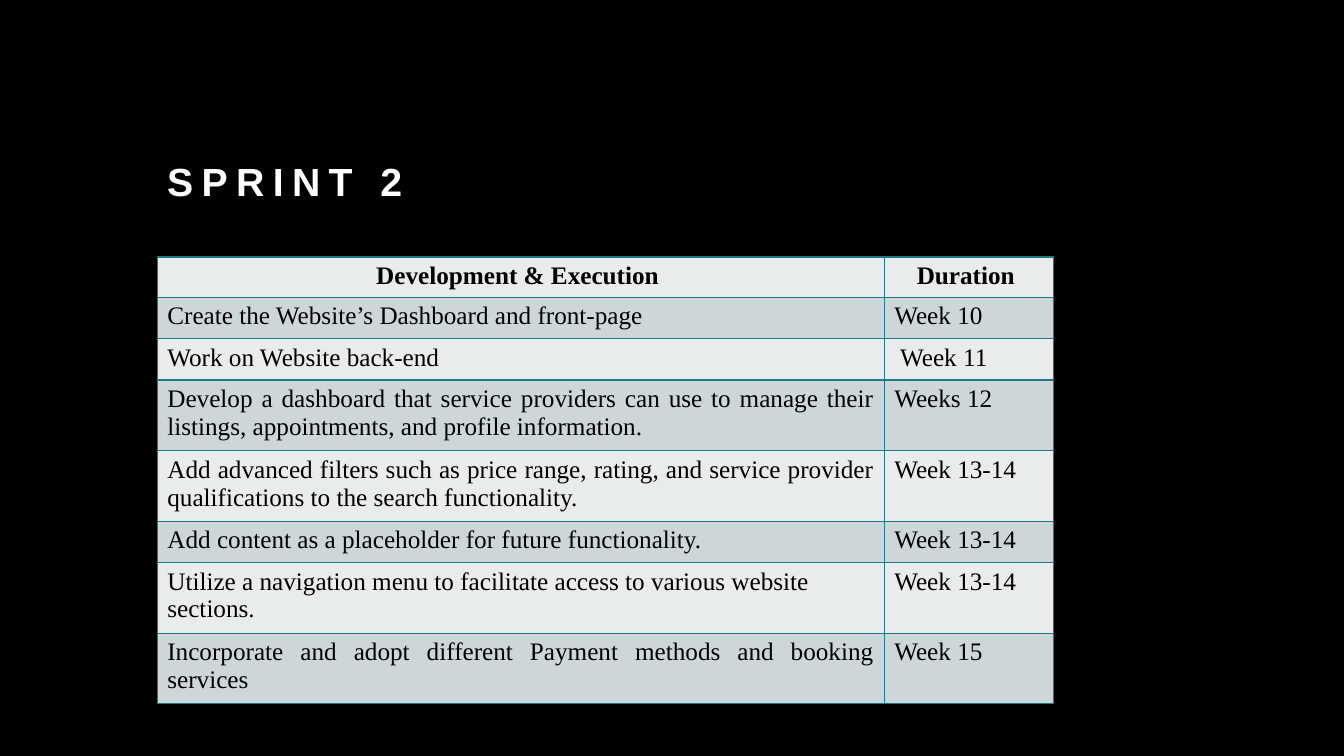
import pptx
import pptx.dml.color
import pptx.enum.text
import pptx.util
from lxml import etree
from pptx.oxml.ns import qn

ALIGN = pptx.enum.text.PP_ALIGN
WIDTH, HEIGHT = 13.33, 7.5
LEFT = 1.56
COLUMN_WIDTHS = (7.21, 1.68)
HEADER_HEIGHT, SINGLE_HEIGHT, DOUBLE_HEIGHT = 0.37, 0.41, 0.66
LIGHT, DARK, BORDER = "E8ECED", "CDD7D9", "1F7985"
HEADINGS = ("Development & Execution ", "Duration ")
TASKS = [
    ("Create the Website’s Dashboard and front-page", "Week 10", SINGLE_HEIGHT),
    ("Work on Website back-end ", " Week 11", SINGLE_HEIGHT),
    ("Develop a dashboard that service providers can use to manage their listings, "
     "appointments, and profile information.", "Weeks 12", DOUBLE_HEIGHT),
    ("Add advanced filters such as price range, rating, and service provider "
     "qualifications to the search functionality.", "Week 13-14", DOUBLE_HEIGHT),
    ("Add content as a placeholder for future functionality.", "Week 13-14", SINGLE_HEIGHT),
    ("Utilize a navigation menu to facilitate access to various website sections.",
     "Week 13-14", DOUBLE_HEIGHT),
    ("Incorporate and adopt different Payment methods and booking services",
     "Week 15", DOUBLE_HEIGHT),
]
LEFT_ALIGNED_TASK = 6


def color(value):
    """Turn a hex string into a colour."""
    return pptx.dml.color.RGBColor.from_string(value)


def inches(*values):
    """Convert several lengths from inches."""
    return [pptx.util.Inches(value) for value in values]


def add_run(paragraph, text, font_name, size, fill, bold):
    """Add one formatted run and return it."""
    run = paragraph.add_run()
    run.text = text
    run.font.name = font_name
    run.font.size = pptx.util.Pt(size)
    run.font.bold = bold
    run.font.color.rgb = color(fill)
    return run


def add_borders(cell):
    """Draw a thin line on all four sides of a cell."""
    properties = cell._tc.get_or_add_tcPr()
    for index, side in enumerate(("a:lnL", "a:lnR", "a:lnT", "a:lnB")):
        line = etree.Element(qn(side), w=str(pptx.util.Pt(1)))
        fill = etree.SubElement(line, qn("a:solidFill"))
        etree.SubElement(fill, qn("a:srgbClr"), val=BORDER)
        properties.insert(index, line)


def fill_cell(cell, text, fill, alignment, bold):
    """Write one table cell with its fill and borders."""
    cell.fill.solid()
    cell.fill.fore_color.rgb = color(fill)
    paragraph = cell.text_frame.paragraphs[0]
    paragraph.alignment = alignment
    add_run(paragraph, text, "Times New Roman", 18, "000000", bold)
    add_borders(cell)


def add_title(slide, box):
    """Place the letter-spaced title at the bottom of its box."""
    frame = slide.shapes.add_textbox(*inches(*box)).text_frame
    frame.word_wrap = True
    frame.vertical_anchor = pptx.enum.text.MSO_ANCHOR.BOTTOM
    paragraph = frame.paragraphs[0]
    paragraph.line_spacing = 1.2
    run = add_run(paragraph, "SPRINT 2", "Arial", 28, "FFFFFF", True)
    run.font._element.set("spc", "600")


def add_schedule(slide, left, top):
    """Place the task table with alternating row fills."""
    heights = [HEADER_HEIGHT] + [height for _, _, height in TASKS]
    box = inches(left, top, sum(COLUMN_WIDTHS), sum(heights))
    table = slide.shapes.add_table(len(heights), len(COLUMN_WIDTHS), *box).table
    for column, width in zip(table.columns, COLUMN_WIDTHS):
        column.width = pptx.util.Inches(width)
    for row, height in zip(table.rows, heights):
        row.height = pptx.util.Inches(height)
    texts = [HEADINGS] + [task[:2] for task in TASKS]
    for row_index, row_texts in enumerate(texts):
        for column_index, text in enumerate(row_texts):
            header = row_index == 0
            alignment = ALIGN.CENTER if header else ALIGN.JUSTIFY
            if (row_index, column_index) == (LEFT_ALIGNED_TASK, 0):
                alignment = ALIGN.LEFT
            fill = DARK if row_index % 2 else LIGHT
            fill_cell(table.cell(row_index, column_index), text, fill, alignment, header)


def main():
    """Build and save the sprint slide."""
    presentation = pptx.Presentation()
    presentation.slide_width, presentation.slide_height = inches(WIDTH, HEIGHT)
    slide = presentation.slides.add_slide(presentation.slide_layouts[6])
    slide.background.fill.solid()
    slide.background.fill.fore_color.rgb = color("000000")
    add_title(slide, (LEFT, 1.14, 10.1, 0.94))
    add_schedule(slide, LEFT, 2.55)
    presentation.save("out.pptx")


if __name__ == "__main__":
    main()
